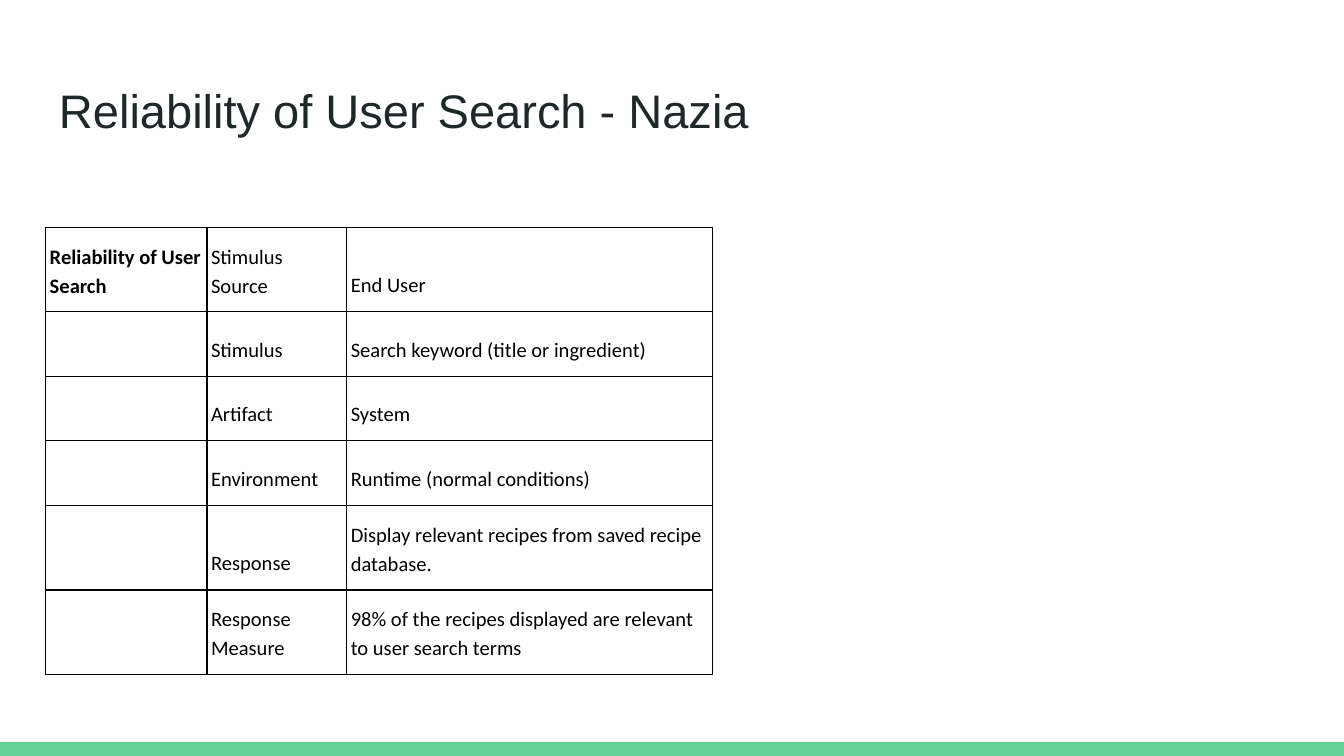
import pptx
import pptx.dml.color
import pptx.enum.shapes
import pptx.enum.text
import pptx.oxml
import pptx.oxml.ns
import pptx.util

Inches = pptx.util.Inches
Pt = pptx.util.Pt
BOTTOM = pptx.enum.text.MSO_ANCHOR.BOTTOM
MIDDLE = pptx.enum.text.MSO_ANCHOR.MIDDLE

ROWS = [
    ("Reliability of User Search", "Stimulus Source", "End User"),
    ("", "Stimulus", "Search keyword (title or ingredient)"),
    ("", "Artifact", "System"),
    ("", "Environment", "Runtime (normal conditions)"),
    ("", "Response", "Display relevant recipes from saved recipe database."),
    ("", "Response Measure",
     "98% of the recipes displayed are relevant to user search terms"),
]
COL_WIDTHS = [1.2, 1.04, 2.72]
TALL, SHORT = 0.63, 0.48
ROW_HEIGHTS = [TALL, SHORT, SHORT, SHORT, TALL, TALL]


def rgb(value):
    return pptx.dml.color.RGBColor.from_string(value)


class SlideBuilder:
    title_font, title_size, title_color = "Arial", 25.2, "202729"
    body_font, body_size, body_color = "Calibri", 11, "000000"
    accent = "63D297"
    border_width = 0.75

    def __init__(self, prs):
        self.s = prs.slides.add_slide(prs.slide_layouts[6])

    def format_runs(self, p, font, size, color, bold=False):
        for r in p.runs:
            r.font.name = font
            r.font.size = Pt(size)
            r.font.bold = bold
            r.font.color.rgb = rgb(color)

    def bar(self, x, y, w, h):
        sp = self.s.shapes.add_shape(
            pptx.enum.shapes.MSO_SHAPE.RECTANGLE,
            Inches(x), Inches(y), Inches(w), Inches(h))
        sp.shadow.inherit = False
        sp.fill.solid()
        sp.fill.fore_color.rgb = rgb(self.accent)
        sp.line.fill.background()

    def title(self, text, x, y, w, h):
        sp = self.s.shapes.add_textbox(Inches(x), Inches(y), Inches(w), Inches(h))
        tf = sp.text_frame
        tf.word_wrap = True
        tf.vertical_anchor = MIDDLE
        tf.margin_left = tf.margin_right = Inches(0.1)
        tf.margin_top = tf.margin_bottom = Inches(0.1)
        tf.text = text
        self.format_runs(tf.paragraphs[0], self.title_font, self.title_size,
                         self.title_color)

    def borders(self, cell):
        tc_pr = cell._tc.get_or_add_tcPr()
        for i, side in enumerate(("lnL", "lnR", "lnT", "lnB")):
            tc_pr.insert(i, pptx.oxml.parse_xml(
                f'<a:{side} {pptx.oxml.ns.nsdecls("a")} w="{Pt(self.border_width)}">'
                f'<a:solidFill><a:srgbClr val="{self.body_color}"/></a:solidFill>'
                f'</a:{side}>'))

    def cell(self, cell, text, bold):
        cell.fill.background()
        self.borders(cell)
        cell.vertical_anchor = BOTTOM
        cell.margin_left = cell.margin_right = Inches(0.03)
        cell.margin_top = cell.margin_bottom = Inches(0.1)
        cell.text_frame.text = text
        p = cell.text_frame.paragraphs[0]
        p.line_spacing = 1.15
        p.font.size = Pt(self.body_size)
        self.format_runs(p, self.body_font, self.body_size, self.body_color, bold)

    def table(self, rows, x, y, widths, heights):
        table = self.s.shapes.add_table(
            len(rows), len(widths), Inches(x), Inches(y),
            Inches(sum(widths)), Inches(sum(heights))).table
        table.first_row = table.horz_banding = False
        for col, width in zip(table.columns, widths):
            col.width = Inches(width)
        for row, height, texts in zip(table.rows, heights, rows):
            row.height = Inches(height)
            for i, text in enumerate(texts):
                self.cell(row.cells[i], text, bold=i == 0)


def main():
    prs = pptx.Presentation()
    prs.slide_width = Inches(10)
    prs.slide_height = prs.slide_width * 9 // 16
    slide = SlideBuilder(prs)
    slide.bar(0, 5.52, 10, 0.11)
    slide.title("Reliability of User Search - Nazia", 0.34, 0.5, 9.32, 0.63)
    slide.table(ROWS, 0.34, 1.69, COL_WIDTHS, ROW_HEIGHTS)
    prs.save("out.pptx")


if __name__ == "__main__":
    main()
